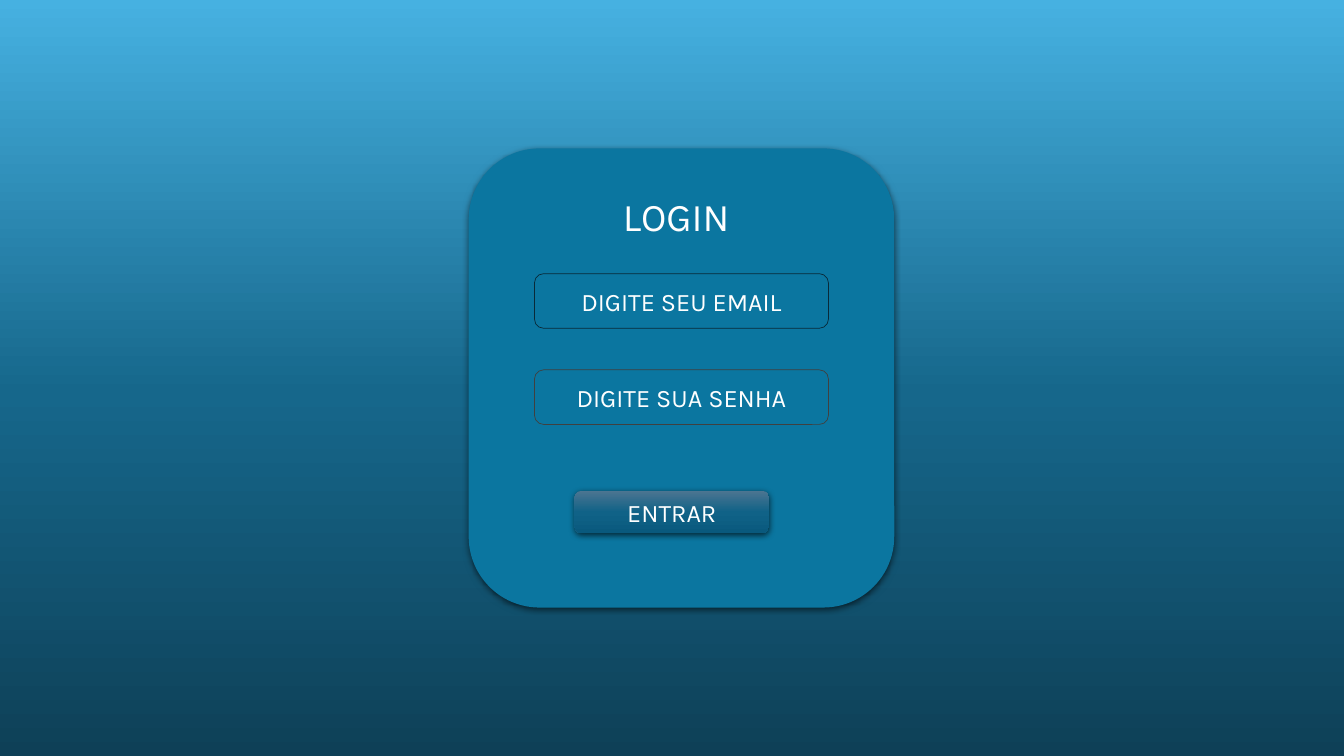
from lxml.etree import SubElement
from pptx import Presentation
from pptx.dml.color import RGBColor
from pptx.enum.shapes import MSO_SHAPE
from pptx.enum.text import MSO_ANCHOR, PP_ALIGN
from pptx.oxml.ns import qn
from pptx.util import Pt

# Content
TITLE = "LOGIN"
BUTTON = "ENTRAR"
NEAR_BLACK = RGBColor(0x09, 0x2A, 0x39)
GREY = RGBColor(0x40, 0x40, 0x40)
FIELDS = [("DIGITE SEU EMAIL", NEAR_BLACK), ("DIGITE SUA SENHA", GREY)]

# Style
FONT = "Karla"
WHITE = RGBColor(0xFF, 0xFF, 0xFF)
BLACK = RGBColor(0x00, 0x00, 0x00)
TEAL = RGBColor(0x0B, 0x76, 0xA0)
BACKDROP_STOPS = [(0, RGBColor(0x0E, 0x40, 0x57)),
                  (48, RGBColor(0x16, 0x67, 0x8B)),
                  (100, RGBColor(0x46, 0xB1, 0xE1))]
BUTTON_STOPS = [(0, RGBColor(0x4C, 0x75, 0x91)),
                (50, RGBColor(0x10, 0x62, 0x87)),
                (100, RGBColor(0x09, 0x59, 0x7D))]

# Layout in points: left, top, width, height
SLIDE_W, SLIDE_H = 960, 540
BACKDROP_BOX = (0, 0, 967, SLIDE_H)
CARD_BOX = (334.8, 106, 304, 328)
FIELD_W, FIELD_H = 210, 39
FIELD_LEFT = CARD_BOX[0] + (CARD_BOX[2] - FIELD_W) / 2
FIELD_TOP, FIELD_STEP = 195.5, 68.7
BUTTON_BOX = (410.4, 350.6, 139, 30.4)
TITLE_BOX = (437.8, 133.9, 187, 41)


def add_panel(box, kind=MSO_SHAPE.ROUNDED_RECTANGLE, outline=None):
    panel = slide.shapes.add_shape(kind, *map(Pt, box))
    panel.fill.solid()
    panel.fill.fore_color.rgb = TEAL
    if outline is None:
        panel.line.fill.background()
    else:
        panel.line.color.rgb = outline
        panel.line.width = Pt(0.5)
    panel.shadow.inherit = False
    return panel


def set_gradient(panel, stops, angle):
    panel.fill.gradient()
    gradient = panel.fill._fill._gradFill
    gradient.clear()
    stop_list = SubElement(gradient, qn("a:gsLst"))
    for position, color in stops:
        stop = SubElement(stop_list, qn("a:gs"), pos=str(position * 1000))
        SubElement(stop, qn("a:srgbClr"), val=str(color))
    SubElement(gradient, qn("a:lin"), ang=str(angle * 60000), scaled="0")


def add_shadow(panel):
    effects = panel._element.spPr.find(qn("a:effectLst"))
    shadow = SubElement(effects, qn("a:outerShdw"), blurRad=str(Pt(4.5)),
                        dist=str(Pt(1.5)), dir="5400000", algn="ctr", rotWithShape="0")
    color = SubElement(shadow, qn("a:srgbClr"), val=str(BLACK))
    SubElement(color, qn("a:alpha"), val="63000")


def write(holder, text, size=18, align=PP_ALIGN.CENTER, anchor=MSO_ANCHOR.MIDDLE):
    frame = holder.text_frame
    frame.word_wrap = True
    frame.vertical_anchor = anchor
    paragraph = frame.paragraphs[0]
    paragraph.alignment = align
    run = paragraph.add_run()
    run.text = text
    run.font.name = FONT
    run.font.size = Pt(size)
    run.font.color.rgb = WHITE


presentation = Presentation()
presentation.slide_width, presentation.slide_height = Pt(SLIDE_W), Pt(SLIDE_H)
slide = presentation.slides.add_slide(presentation.slide_layouts[6])

# Backdrop and card
backdrop = add_panel(BACKDROP_BOX, MSO_SHAPE.RECTANGLE)
set_gradient(backdrop, BACKDROP_STOPS, 270)
card = add_panel(CARD_BOX)
add_shadow(card)

# Input fields
for index, (prompt, outline) in enumerate(FIELDS):
    field_top = FIELD_TOP + index * FIELD_STEP
    field = add_panel((FIELD_LEFT, field_top, FIELD_W, FIELD_H), outline=outline)
    write(field, prompt)

# Button
button = add_panel(BUTTON_BOX)
set_gradient(button, BUTTON_STOPS, 90)
add_shadow(button)
write(button, BUTTON)

# Title
title = slide.shapes.add_textbox(*map(Pt, TITLE_BOX))
write(title, TITLE, size=28, align=PP_ALIGN.LEFT, anchor=MSO_ANCHOR.TOP)

presentation.save("out.pptx")
